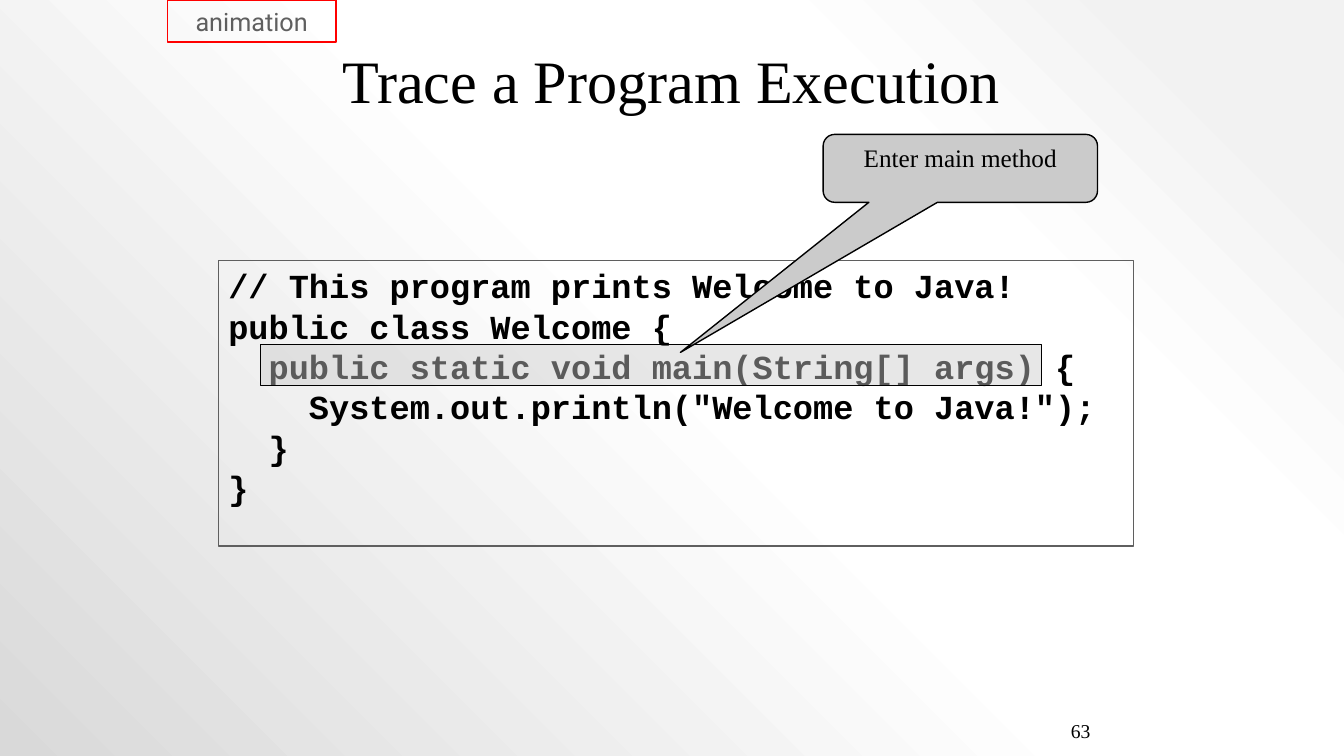
import pptx
import pptx.util
import pptx.dml.color
import pptx.enum.shapes
import pptx.enum.text
import pptx.oxml
import pptx.oxml.ns

Pt = pptx.util.Pt
Shapes = pptx.enum.shapes.MSO_SHAPE
Anchor = pptx.enum.text.MSO_ANCHOR
Align = pptx.enum.text.PP_ALIGN


def color(value):
    return pptx.dml.color.RGBColor.from_string(value)


def write(shape, lines, font, anchor, align, wrap=True):
    frame = shape.text_frame
    frame_format = {
        "word_wrap": wrap, "vertical_anchor": anchor,
        "margin_left": Pt(7.2), "margin_right": Pt(7.2),
        "margin_top": Pt(3.6), "margin_bottom": Pt(3.6),
    }
    for name, value in frame_format.items():
        setattr(frame, name, value)
    for index, line in enumerate(lines):
        paragraph = frame.paragraphs[0] if index == 0 else frame.add_paragraph()
        paragraph.alignment = align
        run = paragraph.add_run()
        run.text = line
        for name, value in font.items():
            if name == "color":
                run.font.color.rgb = color(value)
            else:
                setattr(run.font, name, value)


presentation = pptx.Presentation()
presentation.slide_width = Pt(960)
presentation.slide_height = Pt(540)
slide = presentation.slides.add_slide(presentation.slide_layouts[6])

slide.background.fill.gradient()
gradient = slide.background.fill._fill._gradFill
stops = [(10, "F2F2F2"), (28, "FFFFFF"), (48, "FFFFFF"), (100, "D9D9D9")]
stop_xml = "".join(
    f'<a:gs pos="{position * 1000}"><a:srgbClr val="{value}"/></a:gs>'
    for position, value in stops
)
replacement = pptx.oxml.parse_xml(
    f'<a:gradFill {pptx.oxml.ns.nsdecls("a")} rotWithShape="1"><a:gsLst>{stop_xml}</a:gsLst>'
    '<a:path path="circle"><a:fillToRect l="100000" b="100000"/></a:path></a:gradFill>'
)
gradient.getparent().replace(gradient, replacement)

serif = {"name": "Times New Roman", "color": "000000"}

page_number = slide.shapes.add_textbox(Pt(636), Pt(504), Pt(150), Pt(36))
write(page_number, ["63"], {**serif, "size": Pt(14)}, Anchor.MIDDLE, Align.RIGHT, False)

title = slide.shapes.add_textbox(Pt(173.5), Pt(36), Pt(612), Pt(42))
write(title, ["Trace a Program Execution"], {**serif, "size": Pt(43)}, Anchor.MIDDLE, Align.CENTER)

boxes = {
    "code": (Shapes.RECTANGLE, 156, 186, 654, 204, None, "5F5F5F", 0.75),
    "highlight": (Shapes.RECTANGLE, 186, 246, 558, 29.5, "CBCBCB", "000000", 1),
    "callout": (Shapes.ROUNDED_RECTANGULAR_CALLOUT, 588, 96, 196, 48.5, "CBCBCB", "000000", 1),
    "animation": (Shapes.RECTANGLE, 119.5, 0, 120.5, 30, None, "FF0000", 1),
}
shapes = {}
for name, (kind, left, top, width, height, fill, line, weight) in boxes.items():
    shape = slide.shapes.add_shape(kind, Pt(left), Pt(top), Pt(width), Pt(height))
    shape.shadow.inherit = False
    if fill:
        shape.fill.solid()
        shape.fill.fore_color.rgb = color(fill)
    else:
        shape.fill.background()
    shape.line.color.rgb = color(line)
    shape.line.width = Pt(weight)
    shapes[name] = shape

highlight_color = shapes["highlight"].fill._xPr.find(".//" + pptx.oxml.ns.qn("a:srgbClr"))
highlight_color.append(
    pptx.oxml.parse_xml(f'<a:alpha {pptx.oxml.ns.nsdecls("a")} val="45000"/>')
)
for index, value in enumerate([-1.02, 2.71, 0.17]):
    shapes["callout"].adjustments[index] = value

code_lines = [
    "// This program prints Welcome to Java!",
    "public class Welcome {",
    "  public static void main(String[] args) {",
    '    System.out.println("Welcome to Java!");',
    "  }",
    "}",
]
code_font = {"name": "Courier New", "size": Pt(24), "bold": True, "color": "000000"}
write(shapes["code"], code_lines, code_font, Anchor.TOP, Align.LEFT)
shapes["code"].text_frame.paragraphs[0].space_before = Pt(6)

write(shapes["callout"], ["Enter main method"], {**serif, "size": Pt(18)}, Anchor.TOP, Align.CENTER)
label_font = {"name": "Roboto", "size": Pt(18), "color": "5F5F5F"}
write(shapes["animation"], ["animation"], label_font, Anchor.MIDDLE, Align.CENTER, False)

presentation.save("out.pptx")
